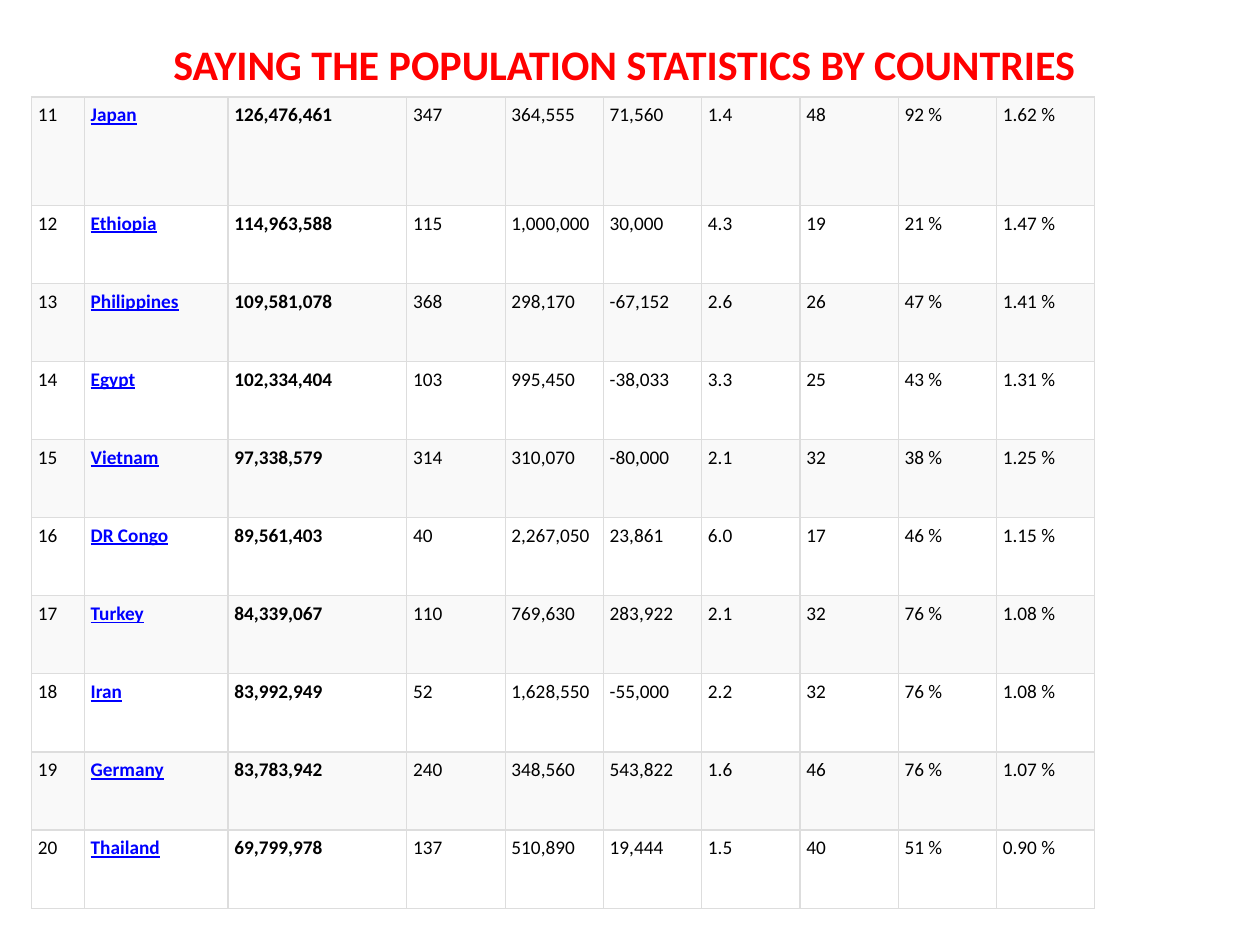
"""Build a slide with a table of population statistics by country."""
from pptx import Presentation, util as u
from pptx.dml.color import RGBColor
from pptx.enum import text
from pptx.oxml import parse_xml
from pptx.oxml.ns import nsdecls

TITLE = "SAYING THE POPULATION STATISTICS BY COUNTRIES"
ROWS = [
    ("11", "Japan", "126,476,461", "347", "364,555", "71,560", "1.4", "48", "92 %", "1.62 %"),
    ("12", "Ethiopia", "114,963,588", "115", "1,000,000", "30,000", "4.3", "19", "21 %", "1.47 %"),
    ("13", "Philippines", "109,581,078", "368", "298,170", "-67,152", "2.6", "26", "47 %", "1.41 %"),
    ("14", "Egypt", "102,334,404", "103", "995,450", "-38,033", "3.3", "25", "43 %", "1.31 %"),
    ("15", "Vietnam", "97,338,579", "314", "310,070", "-80,000", "2.1", "32", "38 %", "1.25 %"),
    ("16", "DR Congo", "89,561,403", "40", "2,267,050", "23,861", "6.0", "17", "46 %", "1.15 %"),
    ("17", "Turkey", "84,339,067", "110", "769,630", "283,922", "2.1", "32", "76 %", "1.08 %"),
    ("18", "Iran", "83,992,949", "52", "1,628,550", "-55,000", "2.2", "32", "76 %", "1.08 %"),
    ("19", "Germany", "83,783,942", "240", "348,560", "543,822", "1.6", "46", "76 %", "1.07 %"),
    ("20", "Thailand", "69,799,978", "137", "510,890", "19,444", "1.5", "40", "51 %", "0.90 %"),
]
WIDTHS = [0.42, 1.14, 1.42] + [0.78] * 7
HEIGHTS = [0.86] + [0.62] * 9
COLORS = {"title": "FF0000", "text": "000000", "country": "0000FF",
          "odd": "F9F9F9", "even": "FFFFFF", "border": "DDDDDD"}
FONT = "Calibri"
COUNTRY, TOTAL = 1, 2


def add_run(para, words, size, color, bold=False, under=False):
    run = para.add_run()
    run.text = words
    font = run.font
    font.name, font.size = FONT, u.Pt(size)
    font.bold, font.underline = bold, under
    font.color.rgb = RGBColor.from_string(COLORS[color])


def add_title(slide):
    box = slide.shapes.add_textbox(*map(u.Inches, (0.58, 0.26, 8.75, 0.5)))
    frame = box.text_frame
    frame.word_wrap = True
    frame.auto_size = text.MSO_AUTO_SIZE.SHAPE_TO_FIT_TEXT
    para = frame.paragraphs[0]
    para.alignment = text.PP_ALIGN.CENTER
    add_run(para, TITLE, 24, "title", bold=True)


def add_borders(cell):
    props = cell._tc.get_or_add_tcPr()
    for side in ("lnL", "lnR", "lnT", "lnB"):
        props.append(parse_xml(
            f'<a:{side} {nsdecls("a")} w="{u.Pt(0.75)}"><a:solidFill>'
            f'<a:srgbClr val="{COLORS["border"]}"/></a:solidFill></a:{side}>'))


def fill_cell(cell, words, col, band):
    cell.margin_left = cell.margin_right = u.Inches(0.05)
    cell.margin_top = cell.margin_bottom = u.Inches(0.05)
    add_borders(cell)
    cell.fill.solid()
    cell.fill.fore_color.rgb = RGBColor.from_string(COLORS[band])
    link = col == COUNTRY
    add_run(cell.text_frame.paragraphs[0], words, 11, "country" if link else "text",
            bold=col in (COUNTRY, TOTAL), under=link)


def add_stats(slide):
    area = map(u.Inches, (0.25, 0.77, sum(WIDTHS), sum(HEIGHTS)))
    table = slide.shapes.add_table(len(ROWS), len(WIDTHS), *area).table
    table.first_row = table.horz_banding = False
    for col, width in zip(table.columns, WIDTHS):
        col.width = u.Inches(width)
    for r, (row, height) in enumerate(zip(ROWS, HEIGHTS)):
        table.rows[r].height = u.Inches(height)
        for c, words in enumerate(row):
            fill_cell(table.cell(r, c), words, c, "even" if r % 2 else "odd")


def main():
    deck = Presentation()
    deck.slide_width, deck.slide_height = u.Inches(10), u.Inches(7.5)
    slide = deck.slides.add_slide(deck.slide_layouts[6])
    add_title(slide)
    add_stats(slide)
    deck.save("out.pptx")


if __name__ == "__main__":
    main()
